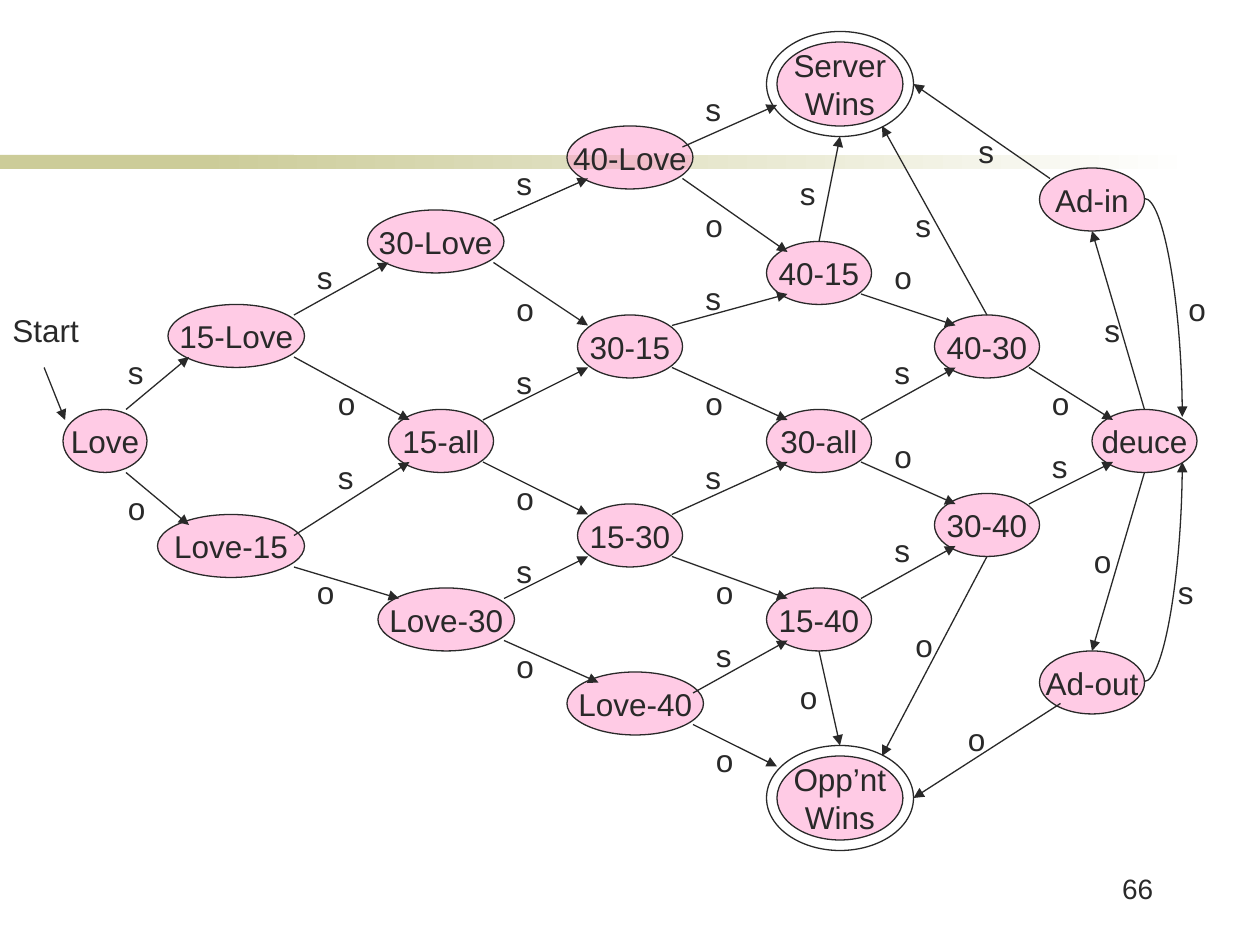
from lxml import etree
from pptx import Presentation
from pptx import util as u
from pptx.dml.color import RGBColor
from pptx.enum import shapes, text
from pptx.oxml.ns import qn

INK, PINK, SAND, WHITE = "292929", "FF99CC", "CCCC99", "FFFFFF"


def hue(code):
    return RGBColor.from_string(code)


def put(thing, **vals):
    for key, val in vals.items():
        setattr(thing, key, val)


class Board:
    cell = u.Inches(1) / 12
    font = {"name": "Arial", "size": u.Pt(18)}
    wide = {"s": 3.7, "o": 4.1, "Start": 8.8}

    def __init__(self, slide):
        self.slide = slide

    def span(self, *cells):
        return [round(c * self.cell) for c in cells]

    def letter(self, shape, words, align, **style):
        frame = shape.text_frame
        put(frame, text=words)
        for para in frame.paragraphs:
            put(para, alignment=align)
            put(para.font, **{**self.font, **style})
            para.font.color.rgb = hue(INK)
        return frame

    def pen(self, shape):
        shape.line.color.rgb = hue(INK)
        shape.line.width = u.Pt(0.75)

    def oval(self, col, row, wide, high, words=""):
        shape = self.slide.shapes.add_shape(
            shapes.MSO_SHAPE.OVAL, *self.span(col, row, wide, high))
        shape.shadow.inherit = False
        self.pen(shape)
        if not words:
            shape.fill.background()
            return
        shape.fill.solid()
        shape.fill.fore_color.rgb = hue(PINK)
        tint = shape._element.spPr.find(".//" + qn("a:srgbClr"))
        etree.SubElement(tint, qn("a:alpha"), val="50000")
        frame = self.letter(shape, words, text.PP_ALIGN.CENTER)
        put(frame, word_wrap=False, vertical_anchor=text.MSO_ANCHOR.MIDDLE,
            margin_left=0, margin_right=0, margin_top=0, margin_bottom=0)

    def label(self, words, col, row):
        box = self.slide.shapes.add_textbox(
            *self.span(col, row, self.wide[words], 4.8))
        frame = self.letter(box, words, text.PP_ALIGN.LEFT)
        put(frame, word_wrap=False, auto_size=text.MSO_AUTO_SIZE.SHAPE_TO_FIT_TEXT)

    def arrow(self, ends, bent=False):
        kind = shapes.MSO_CONNECTOR.CURVE if bent else shapes.MSO_CONNECTOR.STRAIGHT
        line = self.slide.shapes.add_connector(kind, *self.span(*ends))
        self.pen(line)
        props = line._element.spPr
        if bent:
            props.find(qn("a:prstGeom")).set("prst", "curvedConnector2")
        etree.SubElement(props.find(qn("a:ln")), qn("a:tailEnd"), type="triangle")
        etree.SubElement(props, qn("a:effectLst"))

    def band(self, col, wide, fade=False):
        bar = self.slide.shapes.add_shape(
            shapes.MSO_SHAPE.RECTANGLE, *self.span(col, 14.76, wide, 1.32))
        bar.shadow.inherit = False
        bar.line.fill.background()
        if fade:
            bar.fill.gradient()
            bar.fill.gradient_angle = 0
            for stop, code in zip(bar.fill.gradient_stops, (SAND, WHITE)):
                stop.color.rgb = hue(code)
        else:
            bar.fill.solid()
            bar.fill.fore_color.rgb = hue(SAND)

    def page(self, words, col, row, wide, high):
        box = self.slide.shapes.add_textbox(*self.span(col, row, wide, high))
        box.text_frame.word_wrap = True
        para = box.text_frame.paragraphs[0]
        props = para._p.get_or_add_pPr()
        put(para, line_spacing=0.9)
        props.set("marL", str(u.Inches(0.25)))
        props.set("indent", str(-u.Inches(0.25)))
        tint = etree.SubElement(props, qn("a:buClr"))
        etree.SubElement(tint, qn("a:srgbClr"), val=INK)
        etree.SubElement(props, qn("a:buSzPct"), val="60000")
        etree.SubElement(props, qn("a:buChar"), char="⬥")
        self.letter(box, words, text.PP_ALIGN.RIGHT, size=u.Pt(16))


STATES = [
    ("Love", 6, 39, 8), ("Love-15", 15, 49, 14), ("15-Love", 16, 29, 13),
    ("Love-30", 36, 56, 13), ("15-all", 37, 39, 10), ("30-Love", 35, 20, 13),
    ("Love-40", 54, 64, 13), ("15-30", 55, 48, 10), ("30-15", 55, 30, 10),
    ("40-Love", 54, 12, 12), ("40-15", 73, 23, 10), ("15-40", 73, 56, 10),
    ("30-all", 73, 39, 10), ("30-40", 89, 47, 10), ("40-30", 89, 30, 10),
    ("deuce", 104, 39, 10), ("Ad-out", 99, 62, 10), ("Ad-in", 99, 16, 10),
]
FINALS = [("Server\nWins", 4), ("Opp’nt\nWins", 72)]
MOVES = [
    ("Start", 0, 29, (4.2, 35, 6.2, 40)),
    ("s", 11, 33, (12, 39, 18, 34)), ("o", 11, 46, (12, 45, 18, 50)),
    ("s", 29, 24, (28, 30, 37, 25)), ("o", 31, 36, (28, 34, 39, 40)),
    ("s", 31, 43, (28, 51, 39, 44)), ("o", 29, 54, (28, 54, 38, 57)),
    ("s", 48, 15, (47, 21, 56, 17)), ("o", 48, 27, (47, 25, 56, 31)),
    ("s", 48, 34, (46, 40, 56, 35)), ("o", 48, 45, (46, 44, 56, 49)),
    ("s", 48, 52, (48, 57, 56, 53)), ("o", 48, 61, (48, 61, 57, 65)),
    ("s", 66, 8, (65, 14, 74, 10)), ("o", 67, 70, (66, 69, 74, 73)),
    ("o", 66, 19, (65, 17, 75, 24)), ("s", 66, 26, (64, 31, 75, 28)),
    ("o", 66, 36, (64, 35, 75, 40)), ("s", 66, 43, (64, 49, 75, 44)),
    ("o", 67, 54, (64, 53, 75, 57)), ("s", 67, 60, (66, 66, 75, 61)),
    ("s", 75, 16, (78, 23, 80, 13)), ("o", 75, 64, (78, 62, 80, 71)),
    ("o", 84, 24, (82, 28, 91, 31)), ("s", 84, 33, (82, 40, 91, 35)),
    ("o", 84, 41, (82, 44, 91, 48)), ("s", 84, 50, (82, 57, 91, 52)),
    ("s", 86, 19, (94, 30, 84, 12)), ("o", 99, 36, (98, 35, 106, 40)),
    ("s", 99, 42, (98, 48, 106, 44)), ("o", 86, 59, (94, 53, 84, 72)),
    ("s", 104, 29, (109, 39, 104, 22)), ("o", 103, 51, (109, 45, 104, 62)),
    ("s", 92, 12, (100, 17, 87, 8)), ("o", 91, 68, (101, 67, 87, 76)),
]
LOOPS = [
    ("s", 111, 54, (109, 64.9, 112.6, 44)),
    ("o", 112, 27, (109, 18.9, 112.6, 39.7)),
]


def main():
    deck = Presentation()
    put(deck, slide_width=u.Inches(10), slide_height=u.Inches(7.5))
    board = Board(deck.slides.add_slide(deck.slide_layouts[6]))
    board.band(0, 28)
    board.band(19, 95, fade=True)
    board.page("66", 98.76, 82.44, 12.24, 6)
    for words, col, row, wide in STATES:
        board.oval(col, row, wide, 6, words)
    for words, row in FINALS:
        board.oval(74, row, 12, 8, words)
        board.oval(73, row - 1, 14, 10)
    for moves, bent in ((MOVES, False), (LOOPS, True)):
        for words, col, row, ends in moves:
            board.arrow(ends, bent)
            board.label(words, col, row)
    deck.save("out.pptx")


if __name__ == "__main__":
    main()
